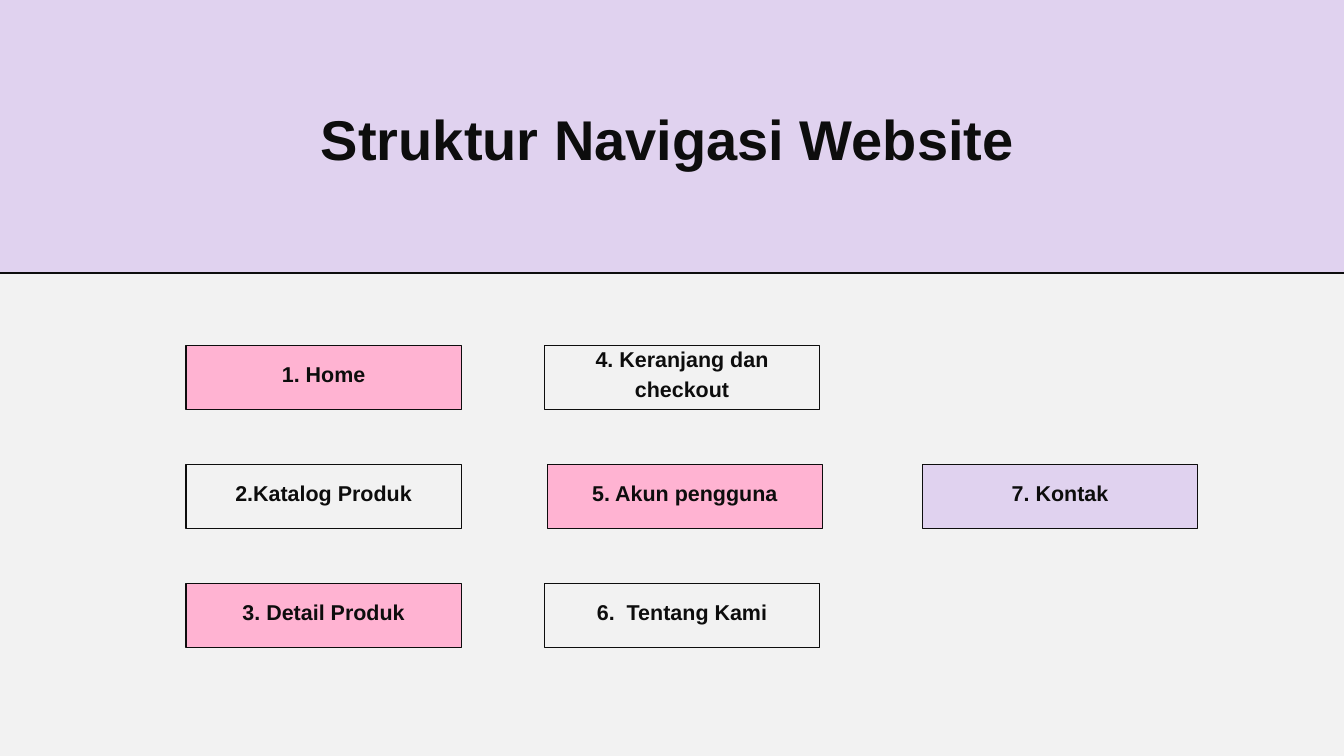
from pptx import Presentation
from pptx.dml.color import RGBColor
from pptx.enum.shapes import MSO_SHAPE
from pptx.enum.text import MSO_ANCHOR, MSO_AUTO_SIZE, PP_ALIGN
from pptx.util import Pt

RECTANGLE = MSO_SHAPE.RECTANGLE
TOP, MIDDLE = MSO_ANCHOR.TOP, MSO_ANCHOR.MIDDLE
CENTER = PP_ALIGN.CENTER
NO_AUTOFIT = MSO_AUTO_SIZE.NONE

EMU_PER_PX = 9525
TITLE_ONLY = 5
INK, PAPER, PINK, LILAC = "0D0D0D", "F2F2F2", "FFB3D2", "E0D2EF"

# Navigation grid
COLUMN_LEFTS = (266, 778, 1318)
FIRST_ROW, ROW_STEP = 494, 170
BOX_WIDTH, BOX_HEIGHT = 393, 91
LABEL_RISE = 18
NUDGE = 4


def px(length):
    return length * EMU_PER_PX


def color(value):
    return RGBColor.from_string(value)


class NavigationSlide:
    def __init__(self, presentation):
        layout = presentation.slide_layouts[TITLE_ONLY]
        self.slide = presentation.slides.add_slide(layout)
        self.shapes = self.slide.shapes
        self.font = {"name": "Arial", "bold": True}

    def background(self, fill):
        self.slide.background.fill.solid()
        self.slide.background.fill.fore_color.rgb = color(fill)

    def rectangle(self, left, top, width, height, fill):
        shape = self.shapes.add_shape(RECTANGLE, px(left), px(top), px(width), px(height))
        shape.shadow.inherit = False
        shape.fill.solid()
        shape.fill.fore_color.rgb = color(fill)
        shape.line.color.rgb = color(INK)
        shape.line.width = Pt(1.5)
        return shape

    def set_text(self, shape, text, size, spacing, inset, anchor):
        frame = shape.text_frame
        frame.text = text
        frame_format = {
            "word_wrap": True, "auto_size": NO_AUTOFIT, "vertical_anchor": anchor,
            "margin_left": px(inset), "margin_right": px(inset),
            "margin_top": px(inset), "margin_bottom": px(inset),
        }
        for name, value in frame_format.items():
            setattr(frame, name, value)
        paragraph = frame.paragraphs[0]
        paragraph.alignment = CENTER
        paragraph.line_spacing = Pt(spacing)
        font = paragraph.runs[0].font
        for name, value in {**self.font, "size": Pt(size)}.items():
            setattr(font, name, value)
        font.color.rgb = color(INK)

    def title(self, text, left, top, width, height):
        title = self.shapes.title
        place = {"left": left, "top": top, "width": width, "height": height}
        for name, value in place.items():
            setattr(title, name, px(value))
        self.set_text(title, text, size=60, spacing=72, inset=0, anchor=TOP)

    def band(self, left, top, width, height, fill):
        band = self.rectangle(left, top, width, height, fill)
        # Place the band behind the title
        self.shapes.title._element.addprevious(band._element)

    def navigation_box(self, text, left, top, fill):
        self.rectangle(left, top, BOX_WIDTH, BOX_HEIGHT, fill)
        label = self.shapes.add_textbox(px(left), px(top - LABEL_RISE),
                                        px(BOX_WIDTH), px(BOX_HEIGHT + LABEL_RISE))
        self.set_text(label, text, size=23, spacing=32.2, inset=6, anchor=MIDDLE)


def main():
    presentation = Presentation()
    presentation.slide_width, presentation.slide_height = px(1920), px(1080)
    slide = NavigationSlide(presentation)

    # Header
    slide.background(PAPER)
    slide.band(-22, -24, 1964, 414, LILAC)
    slide.title("Struktur Navigasi Website", 95, 149, 1717, 97)

    # Pages: text, column, row, fill, horizontal nudge
    pages = (
        ("1. Home", 0, 0, PINK, 0),
        ("2.Katalog Produk", 0, 1, PAPER, 0),
        ("3. Detail Produk", 0, 2, PINK, 0),
        ("4. Keranjang dan checkout", 1, 0, PAPER, 0),
        ("5. Akun pengguna", 1, 1, PINK, NUDGE),
        ("6.  Tentang Kami", 1, 2, PAPER, 0),
        ("7. Kontak", 2, 1, LILAC, 0),
    )
    for text, column, row, fill, nudge in pages:
        slide.navigation_box(text, COLUMN_LEFTS[column] + nudge,
                             FIRST_ROW + row * ROW_STEP, fill)

    presentation.save("out.pptx")


if __name__ == "__main__":
    main()
